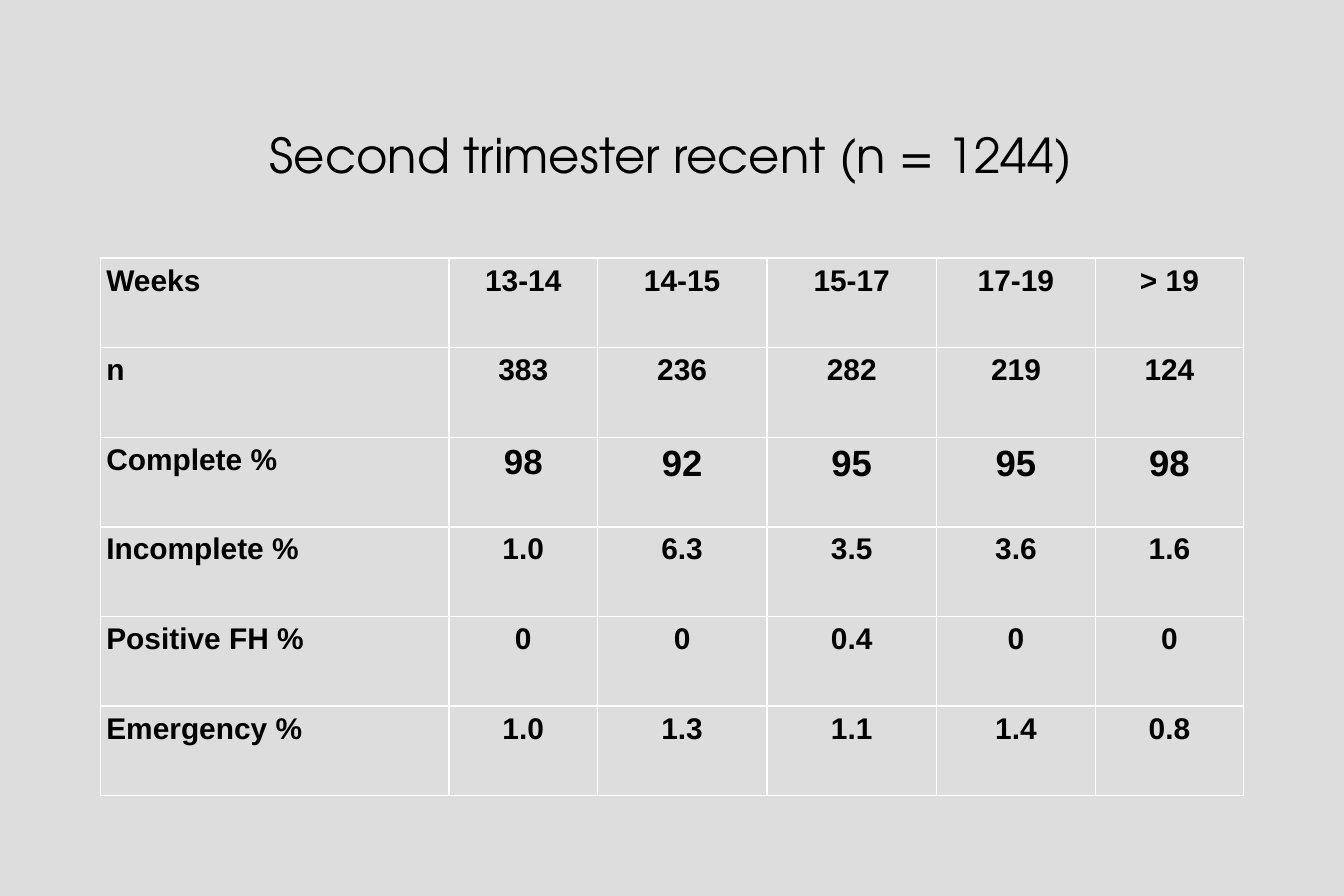
from dataclasses import dataclass

from lxml import etree
from pptx import Presentation
from pptx.dml.color import RGBColor
from pptx.enum.text import MSO_ANCHOR, PP_ALIGN
from pptx.oxml.ns import qn
from pptx.util import Inches, Pt

LEFT, CENTER = PP_ALIGN.LEFT, PP_ALIGN.CENTER
TOP, MIDDLE = MSO_ANCHOR.TOP, MSO_ANCHOR.MIDDLE

TITLE = "Second trimester recent (n = 1244)"
ROWS = [
    ("Weeks", "13-14", "14-15", "15-17", "17-19", "> 19"),
    ("n", "383", "236", "282", "219", "124"),
    ("Complete %", "98", "92", "95", "95", "98"),
    ("Incomplete %", "1.0", "6.3", "3.5", "3.6", "1.6"),
    ("Positive FH %", "0", "0", "0.4", "0", "0"),
    ("Emergency %", "1.0", "1.3", "1.1", "1.4", "0.8"),
]
WIDTHS = (2.92, 1.24, 1.42, 1.42, 1.33, 1.24)
ROW_H = 0.75
SIDE, WIDE = 0.84, 9.56
BIG_ROW = 2


@dataclass(frozen=True)
class Theme:
    back: str = "DDDDDD"
    ink: str = "000000"
    rule: str = "FFFFFF"
    head_font: str = "TeX Gyre Adventor"
    font: str = "Arial"
    head: int = 29
    text: int = 18
    big: int = 22
    first_big: int = 21
    rule_w: float = 1
    inset: float = 0.05
    before: int = 4


THEME = Theme()


def style(para, font, size, bold, align):
    para.alignment = align
    for run in para.runs:
        run.font.name = font
        run.font.size = Pt(size)
        run.font.bold = bold
        run.font.color.rgb = RGBColor.from_string(THEME.ink)


def inset(box):
    """Give a cell or a text frame the same margin on all sides."""
    gap = Inches(THEME.inset)
    box.margin_left = box.margin_right = gap
    box.margin_top = box.margin_bottom = gap


def border(cell):
    props = cell._tc.get_or_add_tcPr()
    for side in ("lnL", "lnR", "lnT", "lnB"):
        line = etree.SubElement(props, qn("a:" + side), w=str(Pt(THEME.rule_w)))
        fill = etree.SubElement(line, qn("a:solidFill"))
        etree.SubElement(fill, qn("a:srgbClr"), val=THEME.rule)


def cell_size(row, col):
    if row != BIG_ROW or col == 0:
        return THEME.text
    return THEME.first_big if col == 1 else THEME.big


def add_title(slide):
    title = slide.shapes.title
    title.left, title.top = Inches(SIDE), Inches(0.67)
    title.width, title.height = Inches(WIDE), Inches(1.25)
    frame = title.text_frame
    frame.text = TITLE
    frame.word_wrap = True
    frame.vertical_anchor = MIDDLE
    inset(frame)
    style(frame.paragraphs[0], THEME.head_font, THEME.head, False, CENTER)


def add_grid(slide):
    table = slide.shapes.add_table(
        len(ROWS), len(WIDTHS), Inches(SIDE), Inches(2.16),
        Inches(WIDE), Inches(ROW_H * len(ROWS))).table
    table.first_row = table.horz_banding = False
    for col, width in zip(table.columns, WIDTHS):
        col.width = Inches(width)
    for r, row in enumerate(ROWS):
        table.rows[r].height = Inches(ROW_H)
        for c, text in enumerate(row):
            cell = table.cell(r, c)
            cell.text_frame.text = text
            cell.vertical_anchor = TOP
            inset(cell)
            border(cell)
            cell.fill.background()
            para = cell.text_frame.paragraphs[0]
            para.space_before = Pt(THEME.before)
            style(para, THEME.font, cell_size(r, c), True, CENTER if c else LEFT)


def main():
    deck = Presentation()
    deck.slide_width, deck.slide_height = Inches(11.25), Inches(7.5)
    slide = deck.slides.add_slide(deck.slide_layouts[5])
    fill = slide.background.fill
    fill.solid()
    fill.fore_color.rgb = RGBColor.from_string(THEME.back)
    add_title(slide)
    add_grid(slide)
    deck.save("out.pptx")


if __name__ == "__main__":
    main()
